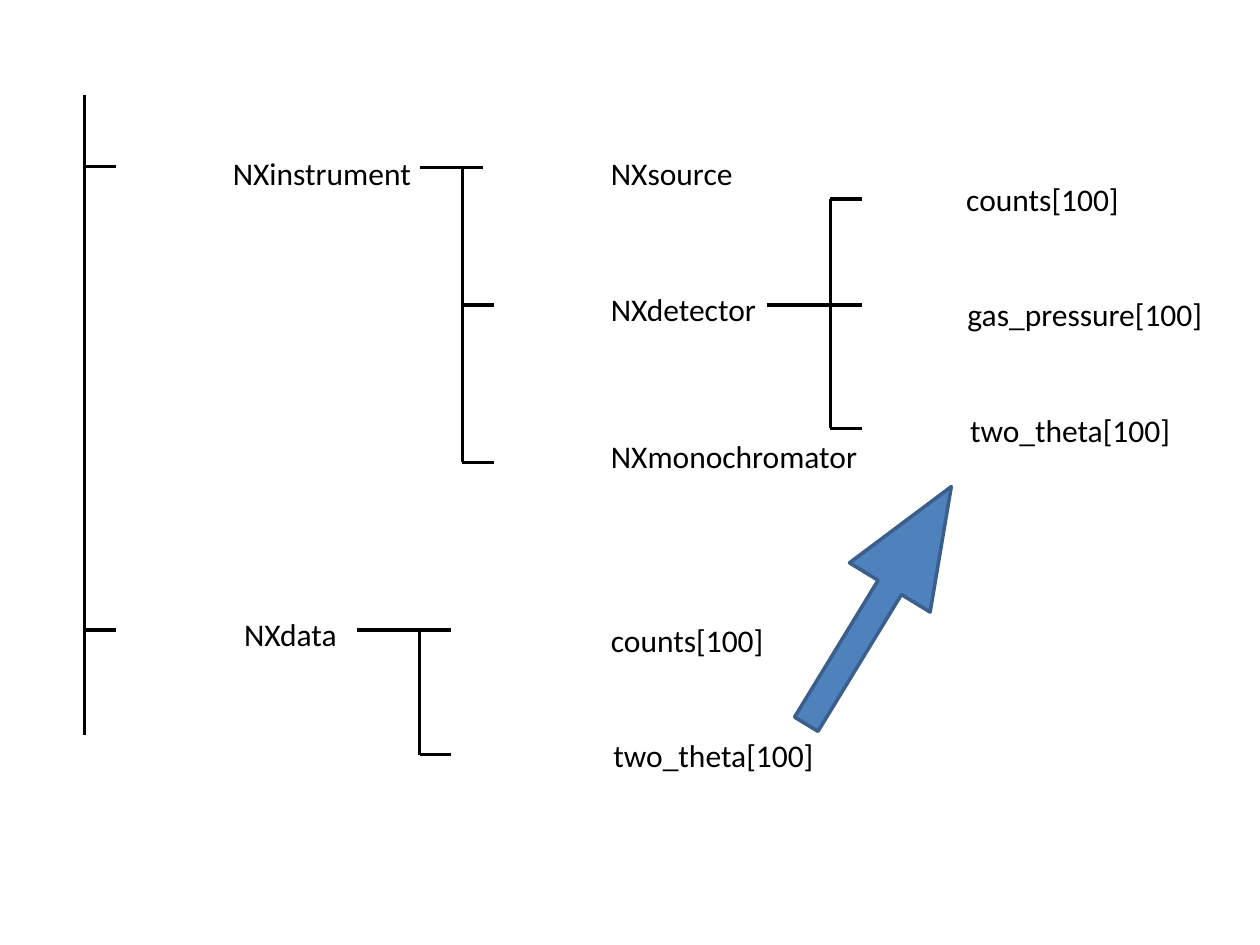
from pptx import Presentation
from pptx import util as u
from pptx.dml.color import RGBColor
from pptx.enum import shapes, text
from pptx.oxml import ns
from lxml import etree

PX = u.Inches(1) // 100
BLACK = RGBColor(0x00, 0x00, 0x00)
WHITE = RGBColor(0xFF, 0xFF, 0xFF)
BLUE = RGBColor(0x4F, 0x81, 0xBD)
DARK_BLUE = RGBColor(0x3A, 0x5F, 0x8C)
FONT = "Calibri"
TICK = 25
LABEL_HEIGHT = 40


def px(*lengths):
    return [length * PX for length in lengths]


def add_line(page, left, top, right, bottom):
    line = page.shapes.add_connector(
        shapes.MSO_CONNECTOR.STRAIGHT, *px(left, top, right, bottom))
    line.line.color.rgb = BLACK
    line.line.width = u.Pt(2)
    etree.SubElement(line._element.spPr, ns.qn("a:effectLst"))


def add_label(page, left, top, width, wording):
    box = page.shapes.add_textbox(*px(left, top, width, LABEL_HEIGHT))
    frame = box.text_frame
    frame.word_wrap = False
    frame.auto_size = text.MSO_AUTO_SIZE.SHAPE_TO_FIT_TEXT
    span = frame.paragraphs[0].add_run()
    span.text = wording
    span.font.name = FONT
    span.font.size = u.Pt(18)
    span.font.color.rgb = BLACK


def add_branch(page, box, ticks, labels, stem=None):
    left, top, height = box
    add_line(page, left, top, left, top + height)
    for offset in ticks:
        add_line(page, left, top + offset, left + TICK, top + offset)
    if stem:
        start, end, offset = stem
        add_line(page, left + start, top + offset, left + end, top + offset)
    for across, down, width, wording in labels:
        add_label(page, left + across, top + down, width, wording)


def add_pointer(page, box, rotation):
    arrow = page.shapes.add_shape(shapes.MSO_SHAPE.RIGHT_ARROW, *px(*box))
    arrow.shadow.inherit = False
    arrow.adjustments[0] = 0.29
    arrow.adjustments[1] = 1.25
    arrow.rotation = rotation
    arrow.fill.solid()
    arrow.fill.fore_color.rgb = BLUE
    arrow.line.color.rgb = DARK_BLUE
    arrow.line.width = u.Pt(2)


def main():
    deck = Presentation()
    deck.slide_width, deck.slide_height = px(1000, 750)
    page = deck.slides.add_slide(deck.slide_layouts[6])
    page.background.fill.solid()
    page.background.fill.fore_color.rgb = WHITE

    add_branch(page, (67, 75, 508), (57, 425), [
        (108, 42, 163, "NXinstrument"),
        (117, 408, 94, "NXdata"),
    ])
    add_branch(page, (367, 133, 234), (109, 234), [
        (108, -16, 118, "NXsource"),
        (108, 92, 137, "NXdetector"),
        (108, 209, 218, "NXmonochromator"),
    ], stem=(-34, 16, 0))
    add_branch(page, (659, 158, 182), (0, 182), [
        (98, -20, 142, "counts[100]"),
        (99, 71, 208, "gas_pressure[100]"),
        (101, 163, 181, "two_theta[100]"),
    ], stem=(-50, 25, 84))
    add_branch(page, (333, 500, 99), (99,), [
        (142, -12, 142, "counts[100]"),
        (144, 79, 181, "two_theta[100]"),
    ], stem=(-50, 25, 0))
    add_pointer(page, (587, 443, 221, 75), 301.4)

    deck.save("out.pptx")


if __name__ == "__main__":
    main()
